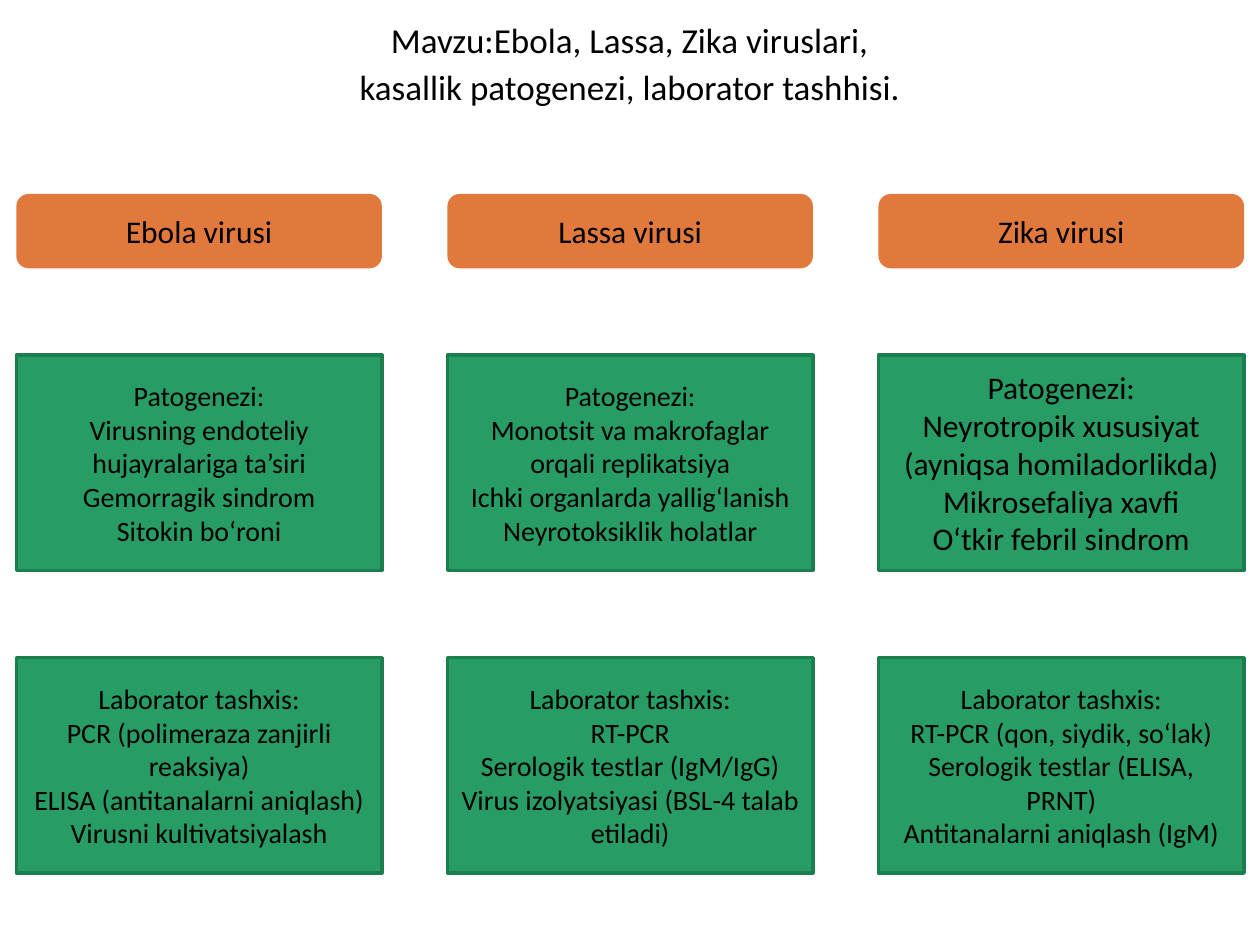
"""Build a one-page overview of the Ebola, Lassa and Zika viruses."""
from dataclasses import dataclass

from pptx import Presentation
from pptx.dml.color import RGBColor as Rgb
from pptx.enum.shapes import MSO_SHAPE as Shape
from pptx.enum.text import MSO_ANCHOR as Anchor, MSO_AUTO_SIZE as AutoSize, PP_ALIGN as Align
from pptx.util import Cm, Pt

LEFT, COLUMN_STEP, BOX_WIDTH = 0.33, 8.69, 7.37
HEADER_TOP, HEADER_HEIGHT = 3.91, 1.5
DETAIL_TOP, ROW_STEP, DETAIL_HEIGHT = 7.16, 6.1, 4.34

HEADING = ["Mavzu:Ebola, Lassa, Zika viruslari,", "kasallik patogenezi, laborator tashhisi."]
PATHOGENESIS, DIAGNOSIS = "Patogenezi:", "Laborator tashxis:"


@dataclass(frozen=True)
class Theme:
    """Hold the colours and type sizes."""

    font: str = "Calibri"
    ink: str = "000000"
    header: str = "E1793C"
    detail: str = "279C64"
    border: str = "1C7D4E"
    heading_size: int = 20
    large_size: int = 18
    body_size: int = 16


THEME = Theme()

VIRUSES = [
    (
        "Ebola virusi",
        ["Virusning endoteliy hujayralariga ta’siri", "Gemorragik sindrom", "Sitokin bo‘roni"],
        THEME.body_size,
        ["PCR (polimeraza zanjirli reaksiya)", "ELISA (antitanalarni aniqlash)",
         "Virusni kultivatsiyalash"],
    ),
    (
        "Lassa virusi",
        ["Monotsit va makrofaglar orqali replikatsiya", "Ichki organlarda yallig‘lanish",
         "Neyrotoksiklik holatlar"],
        THEME.body_size,
        ["RT-PCR", "Serologik testlar (IgM/IgG)", "Virus izolyatsiyasi (BSL-4 talab etiladi)"],
    ),
    (
        "Zika virusi",
        ["Neyrotropik xususiyat (ayniqsa homiladorlikda)", "Mikrosefaliya xavfi",
         "O‘tkir febril sindrom"],
        THEME.large_size,
        ["RT-PCR (qon, siydik, so‘lak)", "Serologik testlar (ELISA, PRNT)",
         "Antitanalarni aniqlash (IgM)"],
    ),
]


class PageBuilder:
    """Draw styled elements on the current page."""

    def __init__(self, page, theme):
        """Keep the page and its theme."""
        self.page = page
        self.theme = theme

    def add_lines(self, frame, lines, size):
        """Add centred paragraphs and return them."""
        frame.word_wrap = True
        frame.auto_size = AutoSize.NONE
        paras = []
        for index, line in enumerate(lines):
            para = frame.add_paragraph() if index else frame.paragraphs[0]
            para.alignment = Align.CENTER
            span = para.add_run()
            span.text = line
            span.font.name = self.theme.font
            span.font.size = Pt(size)
            span.font.color.rgb = Rgb.from_string(self.theme.ink)
            paras.append(para)
        return paras

    def heading(self, lines):
        """Fill the subtitle placeholder and remove the unused title."""
        title = self.page.shapes.title
        title.element.getparent().remove(title.element)
        box = self.page.placeholders[1]
        box.left, box.top, box.width, box.height = Cm(4.01), Cm(0.48), Cm(17.37), Cm(1.68)
        box.text_frame.vertical_anchor = Anchor.TOP
        for para in self.add_lines(box.text_frame, lines, self.theme.heading_size):
            para.line_spacing = 0.7
            para.space_before = Pt(10)

    def panel(self, kind, left, top, height, fill, lines, size):
        """Add a filled shape with centred text."""
        box = self.page.shapes.add_shape(kind, Cm(left), Cm(top), Cm(BOX_WIDTH), Cm(height))
        box.shadow.inherit = False
        box.fill.solid()
        box.fill.fore_color.rgb = Rgb.from_string(fill)
        box.line.fill.background()
        box.text_frame.vertical_anchor = Anchor.MIDDLE
        self.add_lines(box.text_frame, lines, size)
        return box

    def header(self, left, name):
        """Add a rounded column header."""
        self.panel(Shape.ROUNDED_RECTANGLE, left, HEADER_TOP, HEADER_HEIGHT,
                   self.theme.header, [name], self.theme.large_size)

    def detail(self, left, row, lines, size):
        """Add a bordered detail box in the given row."""
        box = self.panel(Shape.RECTANGLE, left, DETAIL_TOP + row * ROW_STEP, DETAIL_HEIGHT,
                         self.theme.detail, lines, size)
        box.line.color.rgb = Rgb.from_string(self.theme.border)
        box.line.width = Pt(2)


def main():
    """Build and save the deck."""
    deck = Presentation()
    deck.slide_width, deck.slide_height = Cm(25.4), Cm(19.05)
    builder = PageBuilder(deck.slides.add_slide(deck.slide_layouts[0]), THEME)
    builder.heading(HEADING)
    for column, (name, effects, effects_size, tests) in enumerate(VIRUSES):
        left = LEFT + column * COLUMN_STEP
        builder.header(left, name)
        builder.detail(left, 0, [PATHOGENESIS, *effects], effects_size)
        builder.detail(left, 1, [DIAGNOSIS, *tests], THEME.body_size)
    deck.save("out.pptx")


if __name__ == "__main__":
    main()
